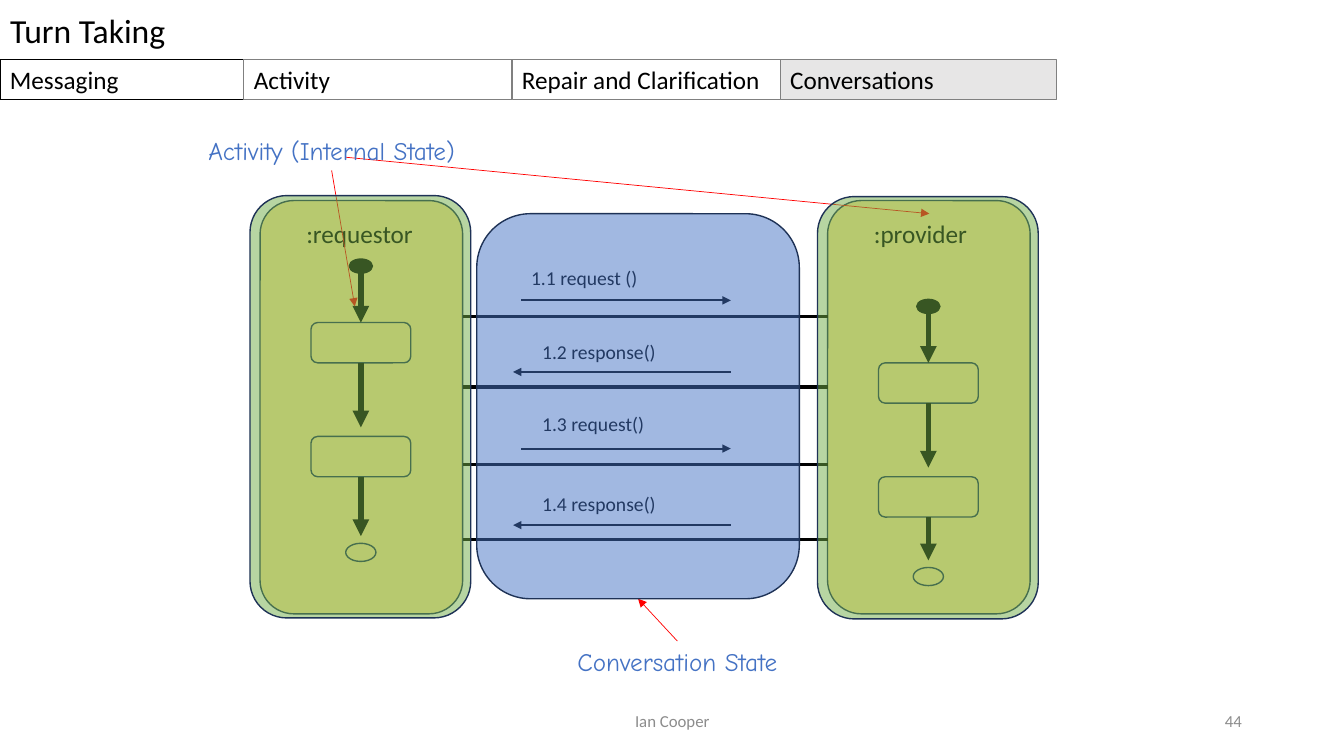
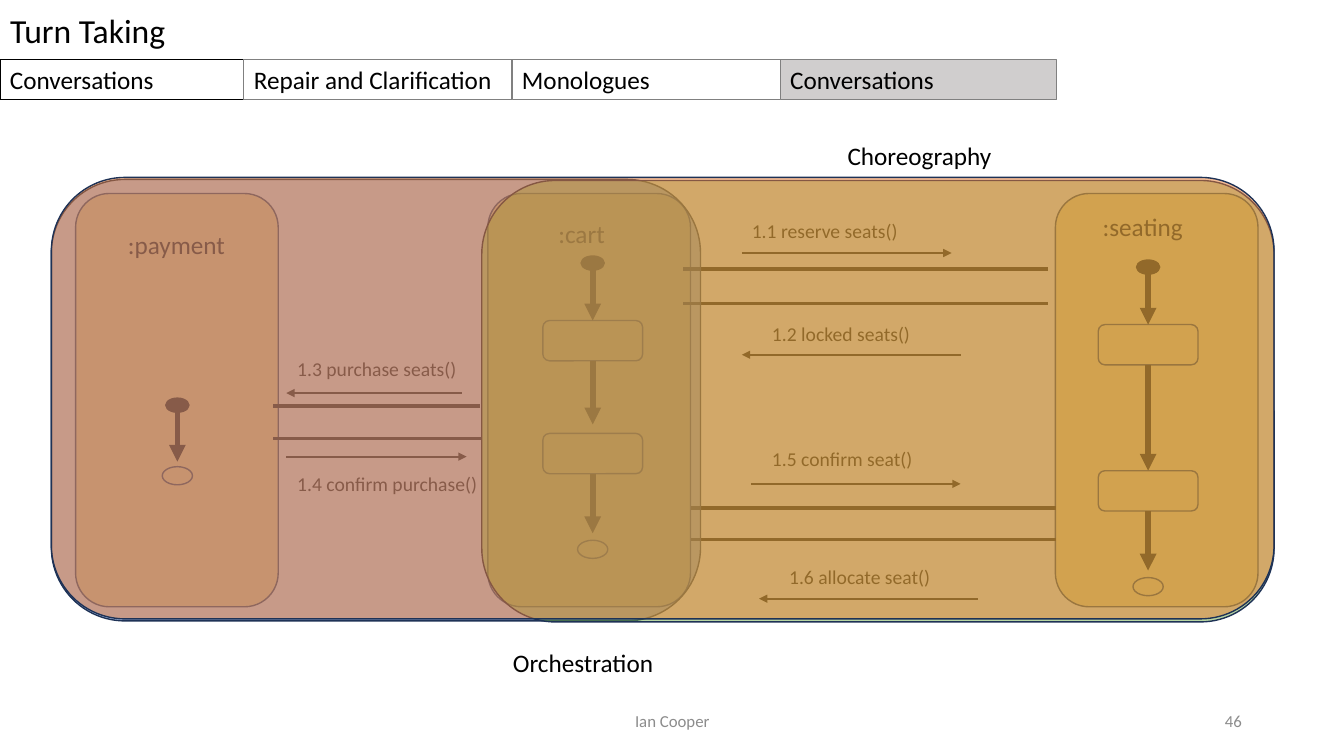
from dataclasses import dataclass
from itertools import accumulate
from typing import NamedTuple, Optional

from lxml.etree import SubElement
from pptx import Presentation
from pptx.dml.color import RGBColor
from pptx.enum.shapes import MSO_CONNECTOR as Connector, MSO_SHAPE as Preset
from pptx.enum.text import MSO_ANCHOR as Anchor, MSO_AUTO_SIZE as AutoSize, PP_ALIGN as Align
from pptx.oxml.ns import qn
from pptx.util import Inches, Pt

CELLS_PER_INCH = 10
SLIDE_COLUMNS, SLIDE_ROWS = 133.33, 75


@dataclass(frozen=True)
class Theme:
    font: str = "Calibri"
    note_font: str = "Comic Neue"
    ink: str = "000000"
    paper: str = "FFFFFF"
    footer: str = "8C8C8C"
    outline: str = "1E3256"
    tab_line: str = "808080"
    lane: str = "FFE699"
    pointer: str = "FF0000"
    blue: str = "4472C4"
    green: str = "70AD47"
    orange: str = "ED7D31"
    title_size: float = 24
    heading_size: float = 18
    message_size: float = 14
    footer_size: float = 12
    outline_width: float = 1
    tab_width: float = 0.75
    pointer_width: float = 0.5
    message_width: float = 1.5
    channel_width: float = 2.5
    flow_width: float = 4


THEME = Theme()


class Point(NamedTuple):
    column: float
    row: float


class Box(NamedTuple):
    column: float
    row: float
    columns: float
    rows: float


class Style(NamedTuple):
    size: float
    colour: str = THEME.ink
    font: str = THEME.font
    align: Align = Align.LEFT
    anchor: Anchor = Anchor.TOP


class Label(NamedTuple):
    text: str
    box: Box
    style: Style


class Flow(NamedTuple):
    centre: float
    start: float
    steps: tuple[float, ...]
    end: float
    gaps: tuple[float, ...] = (0, 0.9, 0.7)


class Lane(NamedTuple):
    name: str
    corner: Point
    name_offset: Point
    flow: Flow


class Message(NamedTuple):
    text: str
    corner: Point
    tail: float
    head: float
    arrow_row: float


class Channel(NamedTuple):
    left: float
    right: float
    row: float


class Pointer(NamedTuple):
    tail: Point
    head: Point


class Overlay(NamedTuple):
    box: Box
    colour: str


@dataclass(frozen=True)
class Content:
    number: str
    tabs: tuple[str, ...]
    active_fill: str
    lanes: tuple[Lane, ...]
    channels: tuple[Channel, ...]
    messages: tuple[Message, ...]
    overlays: tuple[Overlay, ...]
    captions: tuple[Label, ...]
    pointers: tuple[Pointer, ...] = ()


HEADING = Style(THEME.heading_size)
MESSAGE = Style(THEME.message_size)
NOTE = Style(THEME.heading_size, THEME.blue, THEME.note_font, Align.CENTER)
TITLE = Style(THEME.title_size)
AUTHOR = Style(THEME.footer_size, THEME.footer, align=Align.CENTER, anchor=Anchor.MIDDLE)
NUMBER = AUTHOR._replace(align=Align.RIGHT)

LANE_SIZE = (20.1, 41)
STEP_SIZE = (9.9, 4)
START_SIZE = (2.3, 1.4)
END_SIZE = (3, 1.8)
TAB_COLUMNS = (24.2, 26.6, 26.6, 27.4)
TAB_ROW, TAB_ROWS = 5.9, 4
STATE_SIZE = (21.9, 41.9)


def cells(count: float) -> int:
    return Inches(count / CELLS_PER_INCH)


def emu(box: tuple) -> list[int]:
    return [cells(count) for count in box]


def rgb(colour: str) -> RGBColor:
    return RGBColor.from_string(colour)


def write(holder, text: str, style: Style) -> None:
    frame = holder.text_frame
    frame.word_wrap = True
    frame.auto_size = AutoSize.NONE
    frame.vertical_anchor = style.anchor
    para = frame.paragraphs[0]
    para.alignment = style.align
    span = para.add_run()
    span.text = text
    span.font.size = Pt(style.size)
    span.font.name = style.font
    span.font.color.rgb = rgb(style.colour)


def add_label(page, label: Label) -> None:
    write(page.shapes.add_textbox(*emu(label.box)), label.text, label.style)


def add_block(page, preset: Preset, box: Box, fill: Optional[str] = None,
              line: str = THEME.outline, width: float = THEME.outline_width,
              opacity: int = 100):
    block = page.shapes.add_shape(preset, *emu(box))
    block.shadow.inherit = False
    block.line.color.rgb = rgb(line)
    block.line.width = Pt(width)
    if fill is None:
        block.fill.background()
        return block
    block.fill.solid()
    block.fill.fore_color.rgb = rgb(fill)
    if opacity < 100:
        colour = block.element.spPr.find(qn("a:solidFill"))[0]
        SubElement(colour, qn("a:alpha"), val=str(opacity * 1000))
    return block


def add_line(page, tail: Point, head: Point, width: float,
             colour: str = THEME.ink, arrow: bool = True) -> None:
    line = page.shapes.add_connector(Connector.STRAIGHT, *emu((*tail, *head)))
    line.line.color.rgb = rgb(colour)
    line.line.width = Pt(width)
    properties = line.element.spPr
    if arrow:
        SubElement(properties.find(qn("a:ln")), qn("a:tailEnd"), type="triangle")
    SubElement(properties, qn("a:effectLst"))


def centred(centre: float, row: float, size: tuple[float, float]) -> Box:
    return Box(centre - size[0] / 2, row, *size)


def add_flow(page, flow: Flow) -> None:
    add_block(page, Preset.OVAL, centred(flow.centre, flow.start, START_SIZE),
              THEME.ink, THEME.ink)
    for row in flow.steps:
        add_block(page, Preset.ROUNDED_RECTANGLE, centred(flow.centre, row, STEP_SIZE))
    add_block(page, Preset.OVAL, centred(flow.centre, flow.end, END_SIZE))
    bottoms = (flow.start + START_SIZE[1], *(row + STEP_SIZE[1] for row in flow.steps))
    for bottom, top, gap in zip(bottoms, (*flow.steps, flow.end), flow.gaps):
        add_line(page, Point(flow.centre, bottom), Point(flow.centre, top - gap),
                 THEME.flow_width)


def add_lane(page, lane: Lane) -> None:
    add_block(page, Preset.ROUNDED_RECTANGLE, Box(*lane.corner, *LANE_SIZE), THEME.lane)
    name_box = Box(lane.corner.column + lane.name_offset.column,
                   lane.corner.row + lane.name_offset.row, 12.9, 4)
    add_label(page, Label(lane.name, name_box, HEADING))
    add_flow(page, lane.flow)


def add_message(page, message: Message) -> None:
    add_label(page, Label(message.text, Box(*message.corner, 22.3, 3.4), MESSAGE))
    add_line(page, Point(message.tail, message.arrow_row),
             Point(message.head, message.arrow_row), THEME.message_width)


def add_frame(page, content: Content) -> None:
    title = page.shapes.title
    title.left, title.top, title.width, title.height = emu(Box(0, 0, SLIDE_COLUMNS, 6))
    write(title, "Turn Taking", TITLE._replace(anchor=Anchor.MIDDLE))
    lefts = accumulate(TAB_COLUMNS, initial=0)
    for index, (name, left, columns) in enumerate(zip(content.tabs, lefts, TAB_COLUMNS)):
        active = index == len(content.tabs) - 1
        tab = add_block(page, Preset.RECTANGLE, Box(left, TAB_ROW, columns, TAB_ROWS),
                        content.active_fill if active else THEME.paper,
                        THEME.tab_line if index else THEME.ink, THEME.tab_width)
        write(tab, name, HEADING)
    add_label(page, Label("Ian Cooper", Box(44.2, 69.5, 45, 4), AUTHOR))
    add_label(page, Label(content.number, Box(94.2, 69.5, 30, 4), NUMBER))


def add_page(deck, content: Content) -> None:
    page = deck.slides.add_slide(deck.slide_layouts.get_by_name("Title Only"))
    add_frame(page, content)
    for lane in content.lanes:
        add_lane(page, lane)
    for left, right, row in content.channels:
        add_line(page, Point(left, row), Point(right, row), THEME.channel_width, arrow=False)
    for message in content.messages:
        add_message(page, message)
    for tail, head in content.pointers:
        add_line(page, tail, head, THEME.pointer_width, THEME.pointer)
    for box, colour in content.overlays:
        add_block(page, Preset.ROUNDED_RECTANGLE, box, colour, opacity=50)
    for caption in content.captions:
        add_label(page, caption)


STATES = Content(
    "44", ("Messaging", "Activity", "Repair and Clarification", "Conversations"), "E7E6E6",
    lanes=(Lane(":requestor", Point(25.8, 19.9), Point(3.6, 1.3),
                Flow(35.8, 25.7, (32, 43.3), 53.9)),
           Lane(":provider", Point(82.1, 19.9), Point(3.6, 1.3),
                Flow(92.1, 29.7, (36, 47.3), 56.3))),
    channels=tuple(Channel(45.9, 82.1, row) for row in (31.4, 38.4, 46.1, 53.5)),
    messages=(Message("1.1 request ()", Point(51.7, 25.9), 51.7, 72.5, 29.8),
              Message("1.2 response()", Point(52.8, 33.2), 72.5, 50.9, 36.9),
              Message("1.3 request()", Point(52.8, 40.4), 51.7, 72.5, 44.5),
              Message("1.4 response()", Point(52.8, 48.3), 72.5, 50.9, 52.1)),
    overlays=(Overlay(Box(47.3, 21.2, 32, 38.2), THEME.blue),
              Overlay(Box(24.8, 19.4, *STATE_SIZE), THEME.green),
              Overlay(Box(81.1, 19.5, *STATE_SIZE), THEME.green)),
    captions=(Label("Activity (Internal State)", Box(5.9, 12.9, 54, 4), NOTE),
              Label("Conversation State", Box(40.2, 63.6, 54, 4), NOTE)),
    pointers=(Pointer(Point(32.9, 16.9), Point(35.2, 30.4)),
              Pointer(Point(34.3, 15.6), Point(92.2, 21.2)),
              Pointer(Point(67.2, 63.6), Point(63.3, 59.4))))

COORDINATION = Content(
    "46", ("Conversations", "Repair and Clarification", "Monologues", "Conversations"), "D0CECE",
    lanes=(Lane(":payment", Point(7.5, 19.2), Point(4.2, 3.1),
                Flow(17.6, 39.5, (), 46.3, (0.5,))),
           Lane(":cart", Point(48.4, 19.2), Point(6, 2),
                Flow(58.8, 25.4, (31.8, 43), 53.6)),
           Lane(":seating", Point(104.7, 19.2), Point(3.7, 1.3),
                Flow(113.9, 25.8, (32.2, 46.7), 57.3, (0, 0, 0.7)))),
    channels=(Channel(67.8, 104, 26.7), Channel(67.8, 104, 30.1),
              Channel(68.6, 104.8, 50.4), Channel(68.6, 104.8, 53.5),
              Channel(27.1, 47.6, 40.3), Channel(27.1, 47.8, 43.5)),
    messages=(Message("1.1 reserve seats()", Point(73.6, 21.2), 73.6, 94.4, 25.1),
              Message("1.2 locked seats()", Point(75.6, 31.4), 95.3, 73.6, 35.2),
              Message("1.3 purchase seats()", Point(28.5, 34.9), 45.8, 28.4, 39),
              Message("1.4 confirm purchase()", Point(28.5, 46.3), 28.4, 46.3, 45.3),
              Message("1.5 confirm seat()", Point(75.6, 43.8), 74.5, 95.3, 48),
              Message("1.6 allocate seat()", Point(77.3, 55.6), 97, 75.3, 59.4)),
    overlays=(Overlay(Box(5.1, 17.8, 64.4, 43.8), THEME.blue),
              Overlay(Box(47.8, 17.9, 78.6, 43.8), THEME.green),
              Overlay(Box(5.1, 17.6, 121.3, 43.8), THEME.orange)),
    captions=(Label("Orchestration", Box(49.9, 63.7, 20, 4), HEADING),
              Label("Choreography", Box(83.1, 13.4, 20, 4), HEADING)))


def main() -> None:
    deck = Presentation()
    deck.slide_width, deck.slide_height = emu((SLIDE_COLUMNS, SLIDE_ROWS))
    for content in (STATES, COORDINATION):
        add_page(deck, content)
    deck.save("out.pptx")


if __name__ == "__main__":
    main()
